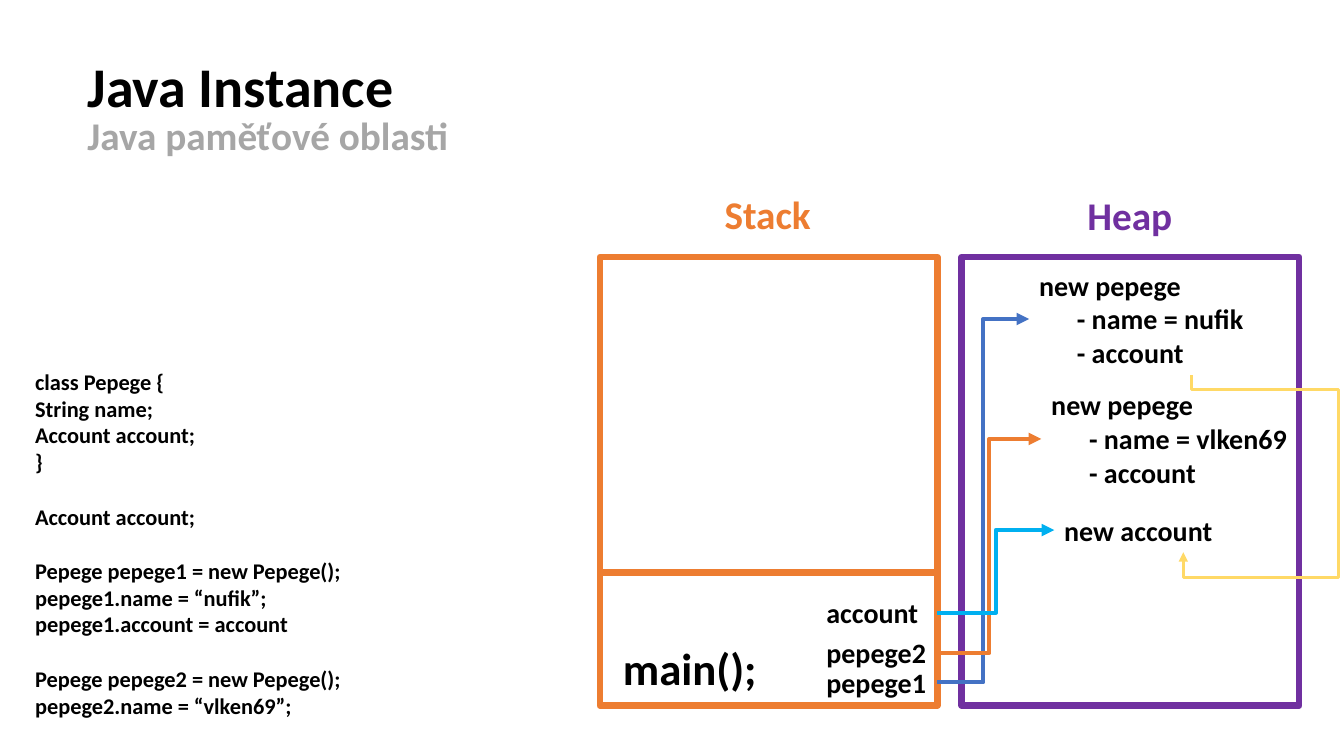
"""Build a slide showing Java stack references pointing at heap objects."""
from lxml.etree import SubElement
from pptx import Presentation
from pptx.dml.color import RGBColor
from pptx.enum.shapes import MSO_CONNECTOR, MSO_SHAPE
from pptx.enum.text import MSO_ANCHOR, MSO_AUTO_SIZE, PP_ALIGN
from pptx.oxml.ns import qn
from pptx.util import Pt

BLACK, GREY = "000000", "A6A6A6"
ORANGE, PURPLE, BLUE, CYAN, YELLOW = "ED7D31", "7030A0", "4472C4", "00B0F0", "FFD966"

CODE_GROUPS = [
    ["class Pepege {", "String name;", "Account account;", "}"],
    ["Account account;"],
    ["Pepege pepege1 = new Pepege();", "pepege1.name = “nufik”;", "pepege1.account = account"],
    ["Pepege pepege2 = new Pepege();", "pepege2.name = “vlken69”;"],
]
HEADINGS = [
    ("Java Instance", (55.4, 33.1, 536.4, 55.4), 40, BLACK),
    ("Java paměťové oblasti", (55.4, 76.3, 280, 41), 28, GREY),
    ("Stack", (510.5, 132.5, 81, 41), 28, ORANGE),
    ("Heap", (769.7, 133.2, 80, 41), 28, PURPLE),
    ("main();", (437.8, 454.3, 115, 46), 32, BLACK),
]
REFERENCES = [
    ("pepege1", 471.6, BLUE, (735.1, 187.9, 232.6, 80),
     ["new pepege", "- name = nufik", "- account"]),
    ("pepege2", 450.7, ORANGE, (743.8, 273.6, 190, 80),
     ["new pepege", "- name = vlken69", "- account"]),
    ("account", 421.9, CYAN, (753.1, 362.9, 184.3, 31.5), ["new account"]),
]
AREA_TOP, AREA_WIDTH, AREA_HEIGHT = 183.6, 241.2, 320.4
STACK_LEFT, HEAP_LEFT, FRAME_TOP = 428.4, 686.9, 409
STACK_RIGHT = STACK_LEFT + AREA_WIDTH
LABEL_WIDTH, LABEL_HEIGHT = 86.4, 31.5
FIELD_INDENT = 27
LOOP_RIGHT, LOOP_DROP, LOOP_RISE = 956.2, 10.6, 18


def color(value):
    return RGBColor.from_string(value)


def write(text, rect, size=20, fill=BLACK, box=None, gaps=(), indent=0):
    """Write lines of text, with a gap before or an indent on chosen lines."""
    left, top, width, height = map(Pt, rect)
    if box is None:
        box = page.shapes.add_textbox(left, top, width, height)
    else:
        box.left, box.top, box.width, box.height = left, top, width, height
    frame = box.text_frame
    frame.word_wrap = True
    frame.auto_size = MSO_AUTO_SIZE.NONE
    frame.vertical_anchor = MSO_ANCHOR.TOP
    lines = [text] if isinstance(text, str) else text
    for index, line in enumerate(lines):
        para = frame.add_paragraph() if index else frame.paragraphs[0]
        para.alignment = PP_ALIGN.LEFT
        if index in gaps:
            para.space_before = Pt(size * 1.22)
        if index and indent:
            para._p.get_or_add_pPr().set("marL", str(Pt(indent)))
        span = para.add_run()
        span.text = line
        span.font.name, span.font.size, span.font.bold = "Calibri", Pt(size), True
        span.font.color.rgb = color(fill)


def connect(kind, start, end, fill, weight, arrow=True):
    line = page.shapes.add_connector(kind, *map(Pt, (*start, *end)))
    line.line.color.rgb = color(fill)
    line.line.width = Pt(weight)
    if arrow:
        SubElement(line.line._get_or_add_ln(), qn("a:tailEnd"), type="triangle")
    SubElement(line._element.spPr, qn("a:effectLst"))
    return line


def draw_area(left, fill):
    area = page.shapes.add_shape(
        MSO_SHAPE.RECTANGLE, *map(Pt, (left, AREA_TOP, AREA_WIDTH, AREA_HEIGHT)))
    area.shadow.inherit = False
    area.fill.background()
    area.line.color.rgb = color(fill)
    area.line.width = Pt(4.5)


def draw_loop(source, target):
    """Lead from under one heap object, round the right side, up to another."""
    start_x, start_y = source[0] + source[2] / 2, source[1] + source[3]
    end_x, end_y = target[0] + target[2] / 2, target[1] + target[3]
    length, shift = end_y - start_y, start_x - end_x
    middle_x, middle_y = (start_x + end_x) / 2, (start_y + end_y) / 2
    loop = connect(MSO_CONNECTOR.ELBOW,
                   (middle_x - length / 2, middle_y - shift / 2),
                   (middle_x + length / 2, middle_y + shift / 2), YELLOW, 2.25)
    properties = loop._element.spPr
    properties.find(qn("a:xfrm")).set("rot", "5400000")
    geometry = properties.find(qn("a:prstGeom"))
    geometry.set("prst", "bentConnector5")
    guides = geometry.find(qn("a:avLst"))
    if guides is None:
        guides = SubElement(geometry, qn("a:avLst"))
    bends = (LOOP_DROP / length, (start_x - LOOP_RIGHT) / shift, 1 + LOOP_RISE / length)
    for number, bend in enumerate(bends, 1):
        SubElement(guides, qn("a:gd"), name=f"adj{number}",
                   fmla=f"val {round(bend * 100000)}")


deck = Presentation()
deck.slide_width, deck.slide_height = Pt(960), Pt(540)
page = deck.slides.add_slide(deck.slide_layouts[5])

draw_area(STACK_LEFT, ORANGE)
draw_area(HEAP_LEFT, PURPLE)
connect(MSO_CONNECTOR.STRAIGHT, (STACK_LEFT, FRAME_TOP), (STACK_RIGHT, FRAME_TOP),
        ORANGE, 4.5, arrow=False)

for index, (text, rect, size, fill) in enumerate(HEADINGS):
    write(text, rect, size, fill, box=None if index else page.shapes.title)

code_lines = sum(CODE_GROUPS, [])
group_starts = [sum(map(len, CODE_GROUPS[:n])) for n in range(1, len(CODE_GROUPS))]
write(code_lines, (18, 259.2, 240, 270), size=16, gaps=group_starts)

for name, top, fill, rect, lines in REFERENCES:
    write(name, (STACK_RIGHT - LABEL_WIDTH, top, LABEL_WIDTH, LABEL_HEIGHT))
    write(lines, rect, indent=FIELD_INDENT)
    connect(MSO_CONNECTOR.ELBOW, (STACK_RIGHT, top + LABEL_HEIGHT / 2),
            (rect[0], rect[1] + rect[3] / 2), fill, 3)
draw_loop(REFERENCES[0][3], REFERENCES[2][3])

deck.save("out.pptx")
